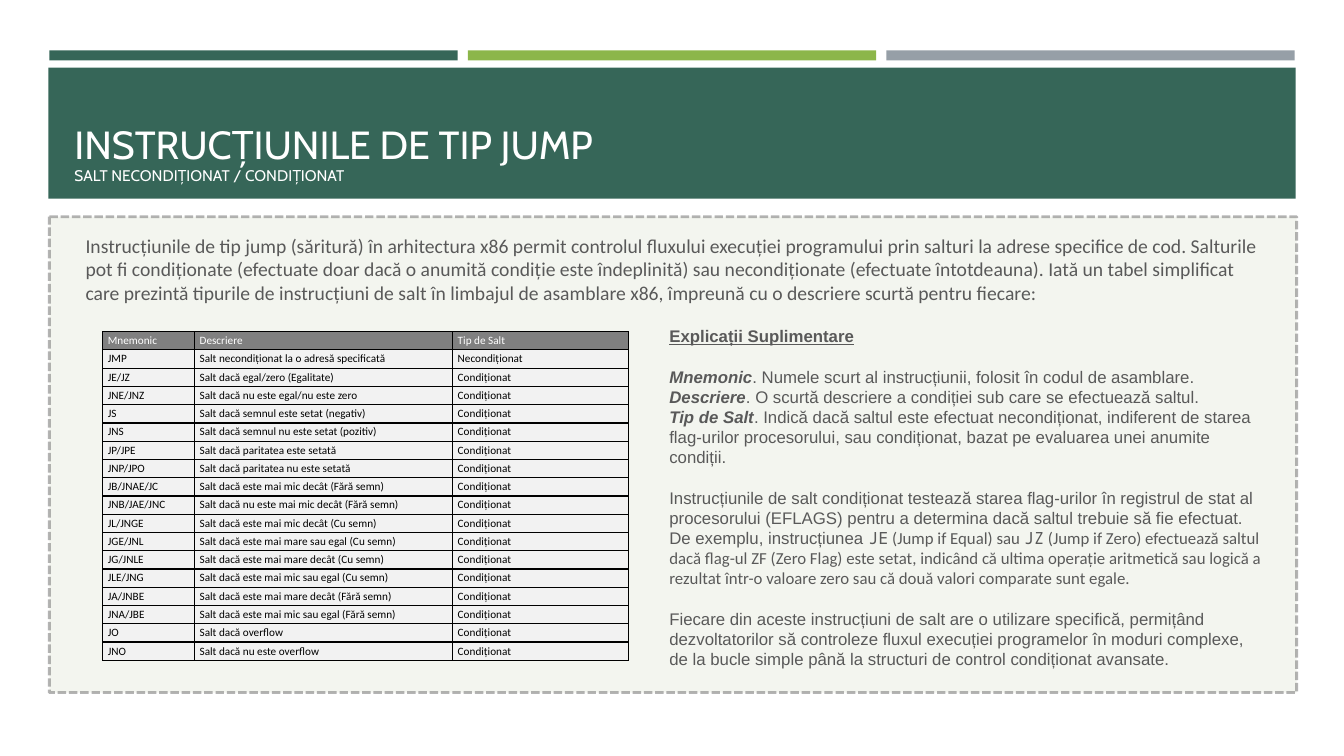
import pptx
import pptx.util
import pptx.oxml
import pptx.dml.color
import pptx.enum.text
import pptx.enum.dml
import pptx.enum.shapes
from lxml import etree

Inches = pptx.util.Inches
Pt = pptx.util.Pt
Shape = pptx.enum.shapes.MSO_SHAPE
Anchor = pptx.enum.text.MSO_ANCHOR

HUES = {
    "green": "366658", "lime": "8CB64A", "slate": "969FA7", "olive": "698937",
    "gray": "808080", "pale": "F2F2F2", "body": "595959",
    "white": "FFFFFF", "black": "000000",
}
BARS = ["green", "lime", "slate"]
TITLE = "INSTRUCȚIUNILE DE TIP JUMP"
SUB = "SALT NECONDIȚIONAT / CONDIȚIONAT"
INTRO = (
    "Instrucțiunile de tip jump (săritură) în arhitectura x86 permit controlul fluxului "
    "execuției programului prin salturi la adrese specifice de cod. Salturile pot fi "
    "condiționate (efectuate doar dacă o anumită condiție este îndeplinită) sau "
    "necondiționate (efectuate întotdeauna). Iată un tabel simplificat care prezintă "
    "tipurile de instrucțiuni de salt în limbajul de asamblare x86, împreună cu o "
    "descriere scurtă pentru fiecare:"
)
HEAD = ("Mnemonic", "Descriere", "Tip de Salt")
JUMPS = [
    ("JMP", "Salt necondiționat la o adresă specificată"),
    ("JE/JZ", "Salt dacă egal/zero (Egalitate)"),
    ("JNE/JNZ", "Salt dacă nu este egal/nu este zero"),
    ("JS", "Salt dacă semnul este setat (negativ)"),
    ("JNS", "Salt dacă semnul nu este setat (pozitiv)"),
    ("JP/JPE", "Salt dacă paritatea este setată"),
    ("JNP/JPO", "Salt dacă paritatea nu este setată"),
    ("JB/JNAE/JC", "Salt dacă este mai mic decât (Fără semn)"),
    ("JNB/JAE/JNC", "Salt dacă nu este mai mic decât (Fără semn)"),
    ("JL/JNGE", "Salt dacă este mai mic decât (Cu semn)"),
    ("JGE/JNL", "Salt dacă este mai mare sau egal (Cu semn)"),
    ("JG/JNLE", "Salt dacă este mai mare decât (Cu semn)"),
    ("JLE/JNG", "Salt dacă este mai mic sau egal (Cu semn)"),
    ("JA/JNBE", "Salt dacă este mai mare decât (Fără semn)"),
    ("JNA/JBE", "Salt dacă este mai mic sau egal (Fără semn)"),
    ("JO", "Salt dacă overflow"),
    ("JNO", "Salt dacă nu este overflow"),
]
COLS = (0.91, 2.56, 1.74)
TERM = {"bold": True, "italic": True}
MONO = {"font": "Noto Sans Mono"}
CALI = {"font": "Calibri"}
NOTES = [
    (0, [("Explicații Suplimentare", {"bold": True, "under": True})]),
    (1, [("Mnemonic", TERM),
         (". Numele scurt al instrucțiunii, folosit în codul de asamblare.", {})]),
    (0, [("Descriere", TERM),
         (". O scurtă descriere a condiției sub care se efectuează saltul.", {})]),
    (0, [("Tip de Salt", TERM),
         (". Indică dacă saltul este efectuat necondiționat, indiferent de starea "
          "flag-urilor procesorului, sau condiționat, bazat pe evaluarea unei anumite "
          "condiții.", {})]),
    (1, [("Instrucțiunile de salt condiționat testează starea flag-urilor în registrul "
          "de stat al procesorului (EFLAGS) pentru a determina dacă saltul trebuie să "
          "fie efectuat. De exemplu, instrucțiunea ", {}),
         ("JE", MONO), (" (Jump if Equal) sau ", CALI), ("JZ", MONO),
         (" (Jump if Zero) efectuează saltul dacă flag-ul ZF (Zero Flag) este setat, "
          "indicând că ultima operație aritmetică sau logică a rezultat într-o valoare "
          "zero sau că două valori comparate sunt egale.", CALI)]),
    (1, [("Fiecare din aceste instrucțiuni de salt are o utilizare specifică, permițând "
          "dezvoltatorilor să controleze fluxul execuției programelor în moduri complexe, "
          "de la bucle simple până la structuri de control condiționat avansate.", {})]),
]
PITCH = 14.4

deck = pptx.Presentation()
deck.slide_width, deck.slide_height = Inches(13.33), Inches(7.5)
slide = deck.slides.add_slide(deck.slide_layouts[6])


def tint(name):
    return pptx.dml.color.RGBColor.from_string(HUES[name])


def write(para, text, font="Calibri", size=12, hue="body", bold=False, italic=False, under=False):
    run = para.add_run()
    run.text = text
    face = run.font
    face.name, face.size = font, Pt(size)
    face.bold, face.italic, face.underline = bold, italic, under
    face.color.rgb = tint(hue)


def block(kind, hue, *place):
    form = slide.shapes.add_shape(kind, *map(Inches, place))
    form.shadow.inherit = False
    form.fill.solid()
    form.fill.fore_color.rgb = tint(hue)
    form.line.fill.background()
    return form


def box(anchor, *place):
    frame = slide.shapes.add_textbox(*map(Inches, place)).text_frame
    frame.word_wrap = True
    frame.vertical_anchor = anchor
    return frame


def fade(form, tag, part):
    color = form._element.spPr.find(tag, form._element.nsmap)
    etree.SubElement(color, pptx.oxml.ns.qn("a:alpha"), val=str(part * 1000))


def edge(cell):
    props = cell._tc.get_or_add_tcPr()
    for side in ("lnL", "lnR", "lnT", "lnB"):
        props.append(pptx.oxml.parse_xml(
            f'<a:{side} {pptx.oxml.ns.nsdecls("a")} w="12700"><a:solidFill>'
            f'<a:srgbClr val="{HUES["black"]}"/></a:solidFill></a:{side}>'))


def fill_cell(cell, text, ink, back):
    edge(cell)
    cell.fill.solid()
    cell.fill.fore_color.rgb = tint(back)
    cell.vertical_anchor = Anchor.MIDDLE
    cell.margin_left = cell.margin_right = Inches(0.05)
    cell.margin_top = cell.margin_bottom = Inches(0.02)
    write(cell.text_frame.paragraphs[0], text, size=8, hue=ink)


for i, hue in enumerate(BARS):
    block(Shape.RECTANGLE, hue, 0.49 + 4.15 * i, 0.5, 4.05, 0.1)
block(Shape.RECTANGLE, "green", 0.48, 0.67, 12.37, 1.3)

panel = block(Shape.FLOWCHART_PROCESS, "olive", 0.49, 2.15, 12.37, 4.72)
panel.line.color.rgb = tint("gray")
panel.line.width = Pt(2)
panel.line.dash_style = pptx.enum.dml.MSO_LINE.SQUARE_DOT
panel.line._ln.find(pptx.oxml.ns.qn("a:prstDash")).set("val", "sysDash")
fade(panel, "a:solidFill/a:srgbClr", 8)
fade(panel, "a:ln/a:solidFill/a:srgbClr", 59)

title = box(Anchor.BOTTOM, 0.64, 0.77, 12.06, 1.11).paragraphs[0]
title.line_spacing = 0.9
write(title, TITLE, font="Cabin", size=28, hue="white")
title.add_line_break()
write(title, SUB, font="Cabin", size=11, hue="white")

intro = box(Anchor.TOP, 0.75, 2.27, 11.95, 0.81).paragraphs[0]
write(intro, INTRO, size=14)

rows = [HEAD] + [(*jump, "Condiționat" if i else "Necondiționat") for i, jump in enumerate(JUMPS)]
grid = slide.shapes.add_table(
    len(rows), len(COLS), *map(Inches, (1.02, 3.29, sum(COLS), 3.26))).table
grid.first_row = grid.horz_banding = False
for col, wide in zip(grid.columns, COLS):
    col.width = Inches(wide)
for r, row in enumerate(rows):
    ink, back = ("black", "pale") if r else ("white", "gray")
    for c, text in enumerate(row):
        fill_cell(grid.cell(r, c), text, ink, back)

notes = box(Anchor.MIDDLE, 6.54, 3.17, 6.08, 3.53)
for i, (gap, runs) in enumerate(NOTES):
    para = notes.paragraphs[0] if i == 0 else notes.add_paragraph()
    para.line_spacing = Pt(PITCH)
    para.space_before = Pt(PITCH * gap)
    for text, form in runs:
        write(para, text, **{"font": "Arial", **form})

deck.save("out.pptx")
